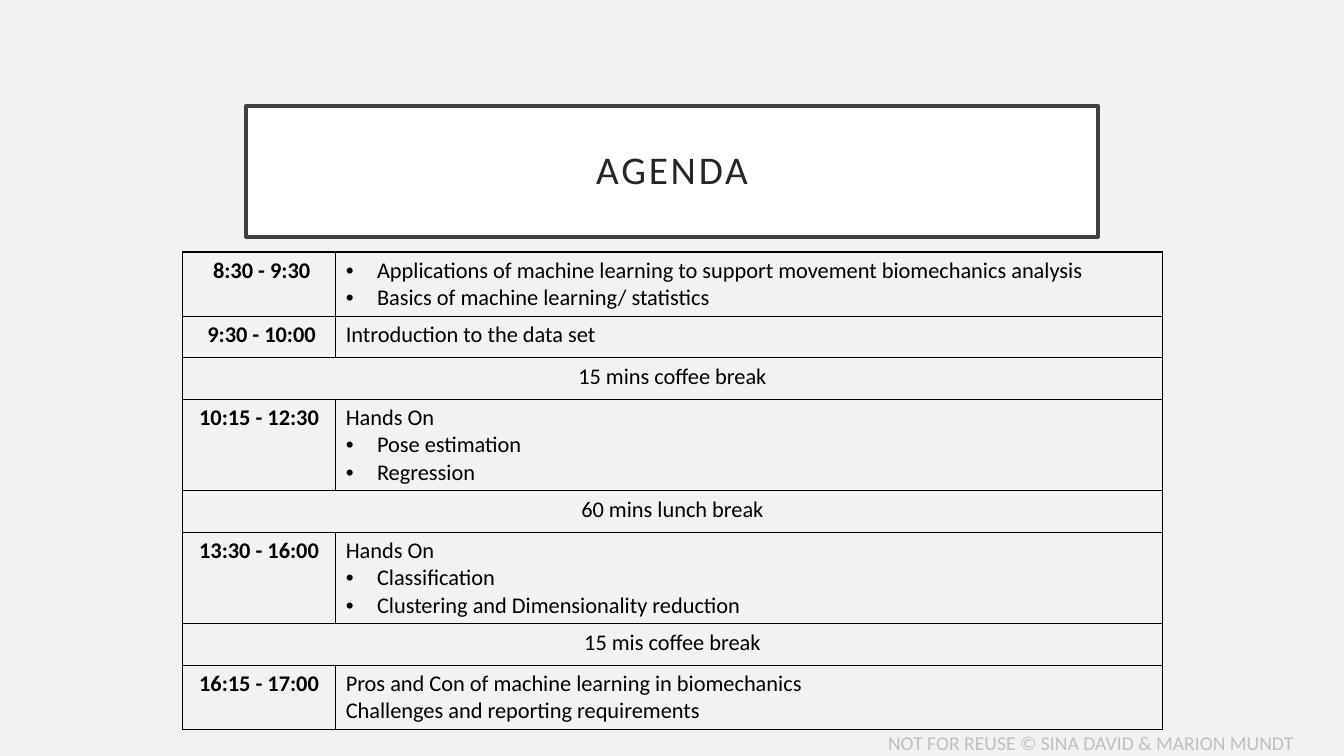
import pptx
import pptx.util
import pptx.dml.color
import pptx.enum.text
import pptx.enum.shapes
import pptx.oxml
import pptx.oxml.ns

Inches = pptx.util.Inches
Pt = pptx.util.Pt
RGBColor = pptx.dml.color.RGBColor
ALIGN = pptx.enum.text.PP_ALIGN
ANCHOR = pptx.enum.text.MSO_ANCHOR

PAPER = RGBColor(0xF2, 0xF2, 0xF2)
WHITE = RGBColor(0xFF, 0xFF, 0xFF)
BLACK = RGBColor(0, 0, 0)
FRAME = RGBColor(0x40, 0x40, 0x40)
TITLE = RGBColor(0x26, 0x26, 0x26)
PALE = RGBColor(0xBF, 0xBF, 0xBF)

BULLET = "• "
INDENT = Inches(0.31)

# Time, lines, alignment of the lines; a break has no time
AGENDA = [
    (" 8:30 - 9:30",
     ["• Applications of machine learning to support movement biomechanics analysis",
      "• Basics of machine learning/ statistics"], ALIGN.JUSTIFY),
    (" 9:30 - 10:00", ["Introduction to the data set"], ALIGN.LEFT),
    (None, ["15 mins coffee break"], ALIGN.CENTER),
    ("10:15 - 12:30", ["Hands On", "• Pose estimation", "• Regression"], ALIGN.LEFT),
    (None, ["60 mins lunch break"], ALIGN.CENTER),
    ("13:30 - 16:00",
     ["Hands On", "• Classification", "• Clustering and Dimensionality reduction"],
     ALIGN.LEFT),
    (None, ["15 mis coffee break"], ALIGN.CENTER),
    ("16:15 - 17:00",
     ["Pros and Con of machine learning in biomechanics",
      "Challenges and reporting requirements"], ALIGN.LEFT),
]


def add_xml(parent, tag, body="", **attrs):
    """Append one DrawingML element to parent."""
    pairs = " ".join(f'{key}="{value}"' for key, value in attrs.items())
    space = pptx.oxml.ns.nsdecls("a")
    parent.append(pptx.oxml.parse_xml(f"<a:{tag} {space} {pairs}>{body}</a:{tag}>"))


def write(frame, lines, size=16, color=BLACK, bold=False, align=ALIGN.LEFT,
          font="Calibri", spacing=None, track=None):
    """Fill a text frame, one paragraph a line; a leading bullet makes a list item."""
    for index, line in enumerate(lines):
        para = frame.paragraphs[0] if index == 0 else frame.add_paragraph()
        para.alignment = align
        if spacing:
            para.line_spacing = spacing
        if line.startswith(BULLET):
            props = para._p.get_or_add_pPr()
            props.set("marL", str(INDENT))
            props.set("indent", str(-INDENT))
            add_xml(props, "buFont", typeface="Arial")
            add_xml(props, "buChar", char=BULLET.strip())
        run = para.add_run()
        run.text = line.removeprefix(BULLET)
        run.font.name = font
        run.font.size = Pt(size)
        run.font.bold = bold
        run.font.color.rgb = color
        if track:
            run._r.get_or_add_rPr().set("spc", str(track * 100))


class Deck:
    def __init__(self):
        self.file = pptx.Presentation()
        self.file.slide_width = Inches(13.33)
        self.file.slide_height = Inches(7.5)
        self.slide = self.file.slides.add_slide(self.file.slide_layouts[6])
        fill = self.slide.background.fill
        fill.solid()
        fill.fore_color.rgb = PAPER

    def label(self, text, left, top, width, height, **style):
        box = self.slide.shapes.add_textbox(
            Inches(left), Inches(top), Inches(width), Inches(height))
        box.text_frame.word_wrap = False
        write(box.text_frame, [text], **style)

    def panel(self, text, left, top, width, height, **style):
        box = self.slide.shapes.add_shape(
            pptx.enum.shapes.MSO_SHAPE.RECTANGLE,
            Inches(left), Inches(top), Inches(width), Inches(height))
        box.shadow.inherit = False
        box.fill.solid()
        box.fill.fore_color.rgb = WHITE
        box.line.color.rgb = FRAME
        box.line.width = Pt(2.5)
        frame = box.text_frame
        frame.word_wrap = True
        frame.vertical_anchor = ANCHOR.MIDDLE
        frame.margin_left = frame.margin_right = Inches(0.2)
        frame.margin_top = frame.margin_bottom = Inches(0.2)
        write(frame, [text], align=ALIGN.CENTER, **style)

    def border(self, cell):
        """Draw all four edges of a cell and leave it unfilled."""
        props = cell._tc.get_or_add_tcPr()
        ink = f'<a:solidFill><a:srgbClr val="{BLACK}"/></a:solidFill>'
        for side in "LRTB":
            add_xml(props, "ln" + side, ink, w=Pt(1))
        cell.fill.background()

    def table(self, rows, left, top, widths):
        heights = [max(0.41, 0.1 + 0.27 * len(lines)) for _, lines, _ in rows]
        grid = self.slide.shapes.add_table(
            len(rows), len(widths), Inches(left), Inches(top),
            Inches(sum(widths)), Inches(sum(heights))).table
        grid.first_row = grid.horz_banding = False
        for column, width in zip(grid.columns, widths):
            column.width = Inches(width)
        for row, height, (time, lines, align) in zip(grid.rows, heights, rows):
            row.height = Inches(height)
            first, last = row.cells
            for cell in (first, last):
                self.border(cell)
            if time:
                write(first.text_frame, [time], bold=True, align=ALIGN.CENTER)
                write(last.text_frame, lines, align=align)
            else:
                first.merge(last)
                write(first.text_frame, lines, align=align)


def main():
    deck = Deck()
    deck.label("NOT FOR REUSE © SINA DAVID & MARION MUNDT",
               8.71, 7.2, 4.71, 0.34, size=14, color=PALE)
    deck.panel("AGENDA", 2.44, 1.05, 8.45, 1.3,
               size=28, color=TITLE, spacing=0.9, track=2)
    deck.table(AGENDA, 1.81, 2.5, [1.52, 8.2])
    deck.file.save("out.pptx")


if __name__ == "__main__":
    main()
